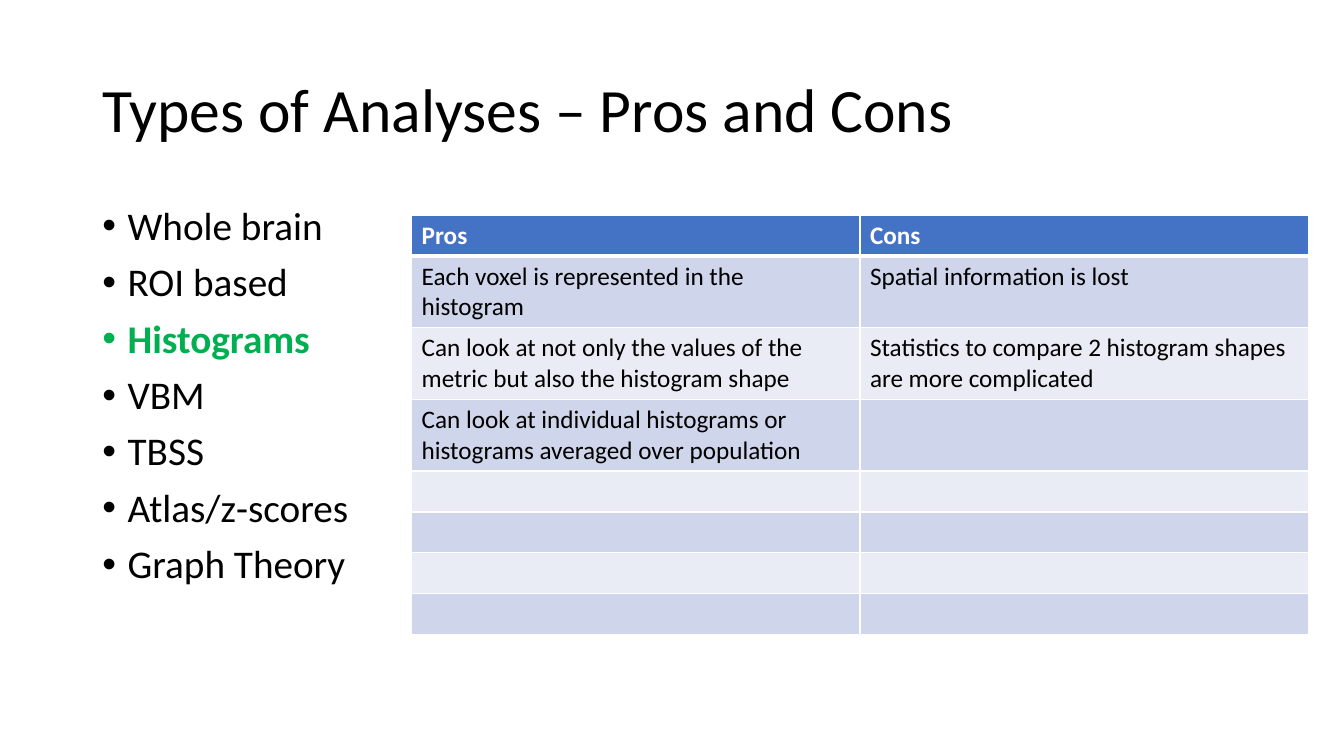
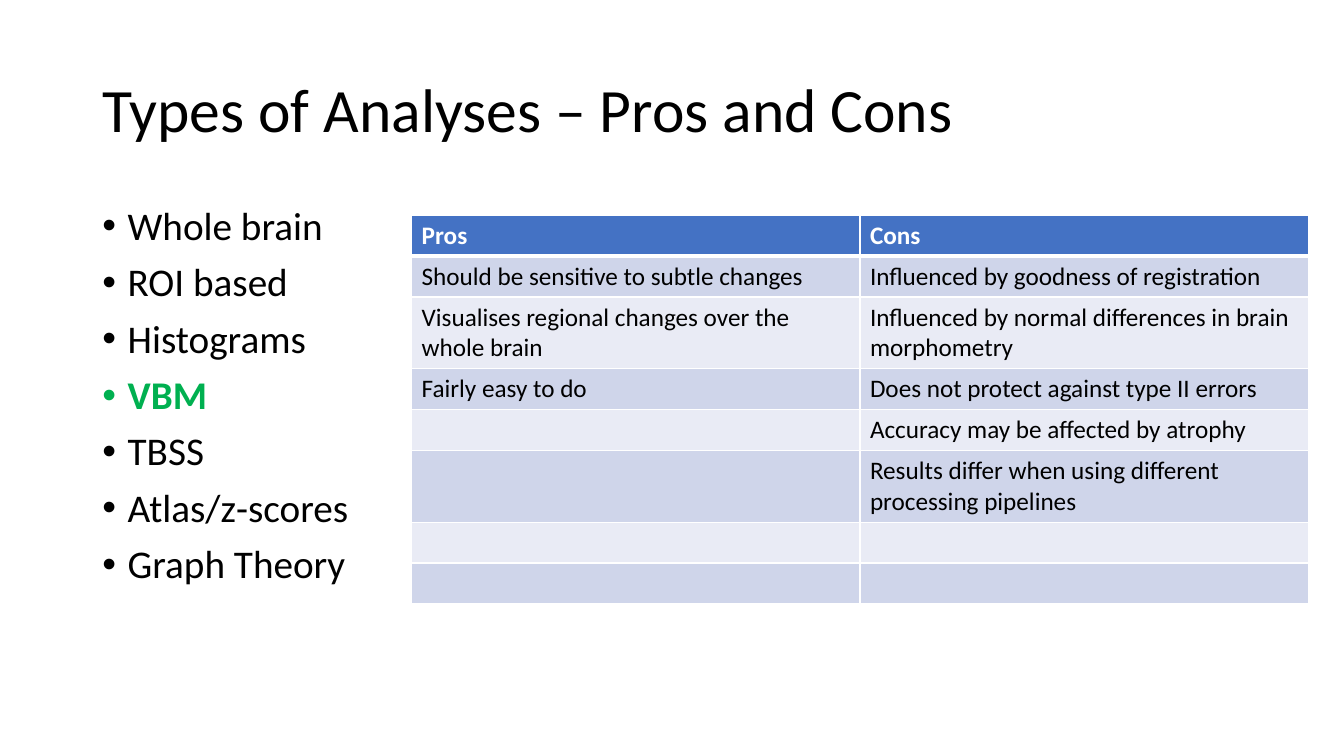
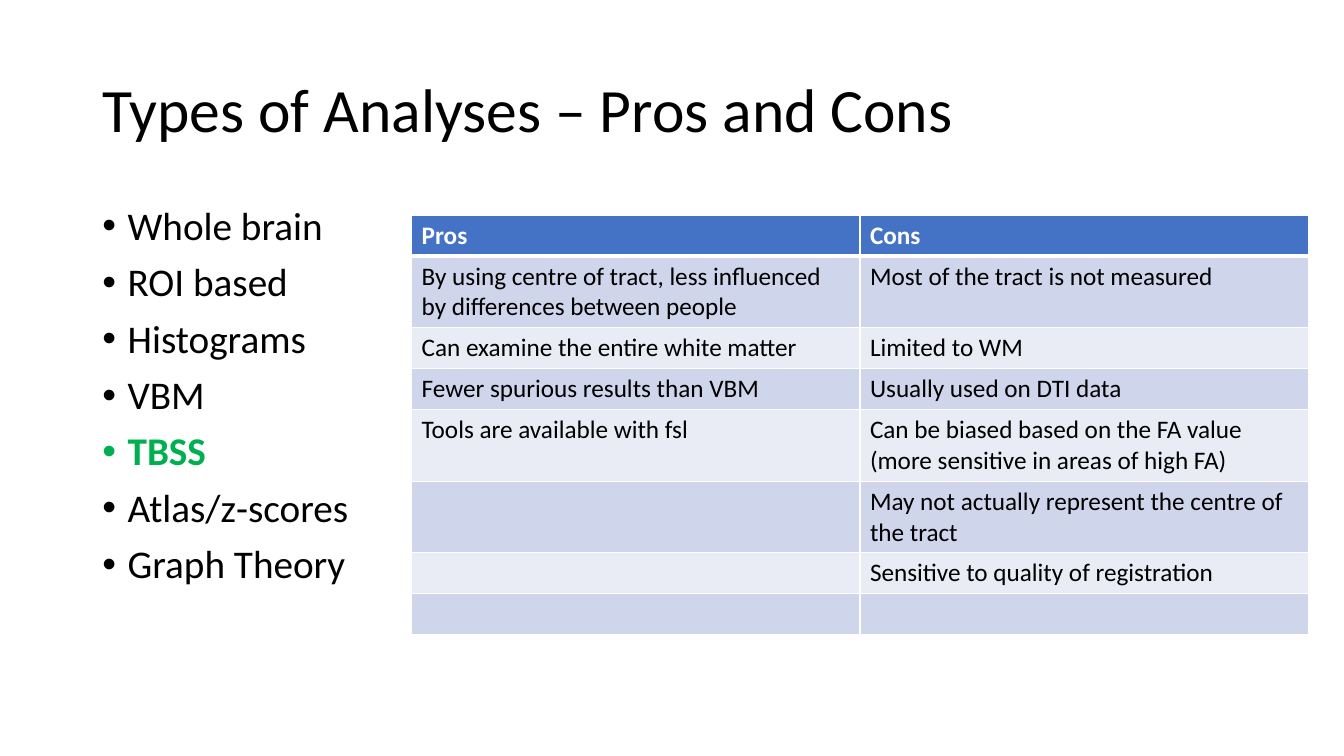
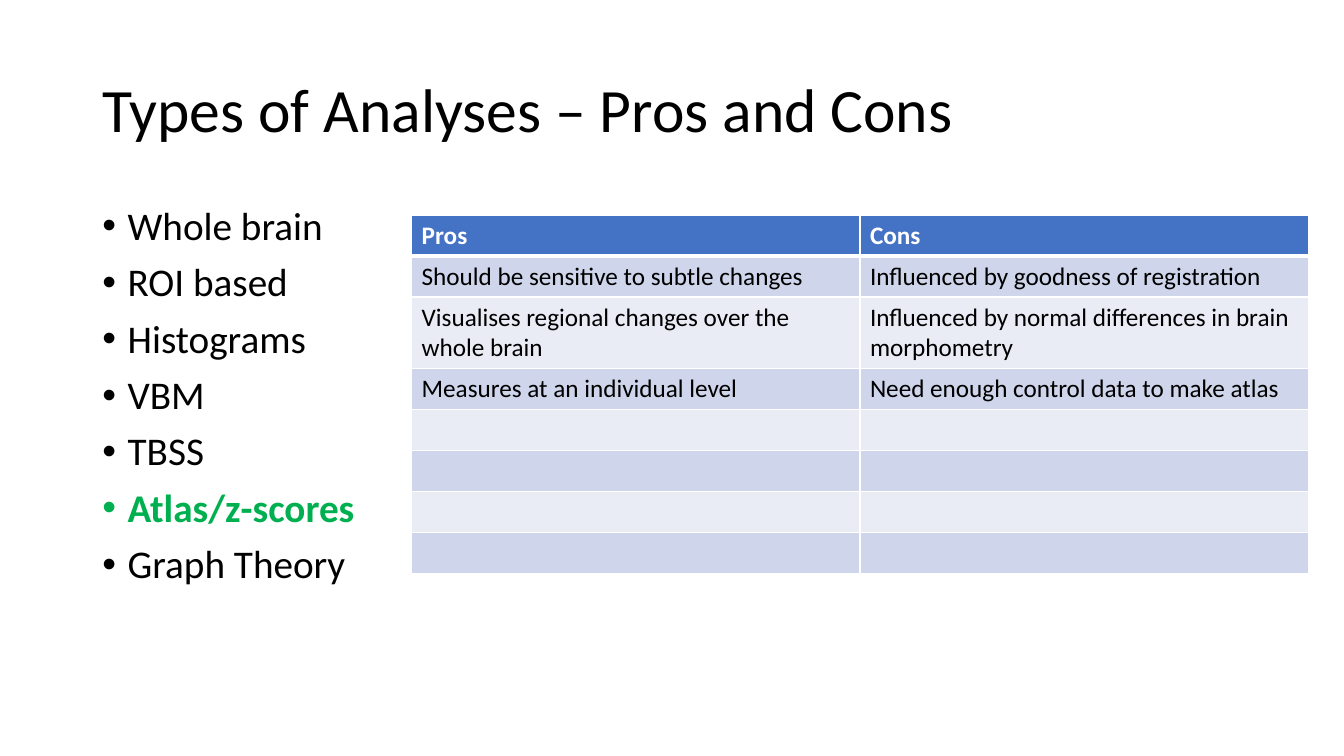
from dataclasses import dataclass

import lxml.etree
import pptx
import pptx.dml.color
import pptx.enum.text
import pptx.oxml.ns
import pptx.util

PX = 9525


@dataclass(frozen=True)
class Theme:
    font: str = "Calibri"
    ink: str = "000000"
    paper: str = "FFFFFF"
    highlight: str = "00B050"
    header: str = "4472C4"
    bands: tuple = ("CFD5EA", "E9EBF5")
    title_size: int = 44
    list_size: int = 28
    table_size: int = 18
    line_spacing: float = 0.9
    list_gap: int = 10
    rule: int = 1
    header_rule: int = 3


THEME = Theme()
SLIDE_SIZE = (1280, 720)
TITLE_BOX = (88, 38, 1104, 139)
LIST_BOX = (88, 192, 1104, 457)
LIST_INDENT = 24
TABLE_ORIGIN = (392, 205)
COLUMN_WIDTH = 427
ROW_HEIGHT = 39
ROW_COUNT = 8

TITLE = "Types of Analyses – Pros and Cons"
HEADINGS = ("Pros", "Cons")
METHODS = (
    "Whole brain",
    "ROI based",
    "Histograms",
    "VBM",
    "TBSS",
    "Atlas/z-scores",
    "Graph Theory",
)
SUBTLE_CHANGES = (
    "Should be sensitive to subtle changes",
    "Influenced by goodness of registration",
)
REGIONAL_CHANGES = (
    "Visualises regional changes over the whole brain",
    "Influenced by normal differences in brain morphometry",
)
COMPARISONS = {
    "Histograms": (
        ("Each voxel is represented in the histogram", "Spatial information is lost"),
        (
            "Can look at not only the values of the metric but also the histogram shape",
            "Statistics to compare 2 histogram shapes are more complicated",
        ),
        ("Can look at individual histograms or histograms averaged over population", ""),
    ),
    "VBM": (
        SUBTLE_CHANGES,
        REGIONAL_CHANGES,
        ("Fairly easy to do", "Does not protect against type II errors"),
        ("", "Accuracy may be affected by atrophy"),
        ("", "Results differ when using different processing pipelines"),
    ),
    "TBSS": (
        (
            "By using centre of tract, less influenced by differences between people",
            "Most of the tract is not measured",
        ),
        ("Can examine the entire white matter", "Limited to WM"),
        ("Fewer spurious results than VBM", "Usually used on DTI data"),
        (
            "Tools are available with fsl",
            "Can be biased based on the FA value (more sensitive in areas of high FA)",
        ),
        ("", "May not actually represent the centre of the tract"),
        ("", "Sensitive to quality of registration"),
    ),
    "Atlas/z-scores": (
        SUBTLE_CHANGES,
        REGIONAL_CHANGES,
        ("Measures at an individual level", "Need enough control data to make atlas"),
    ),
}


def px(length):
    return pptx.util.Emu(length * PX)


def rgb(colour):
    return pptx.dml.color.RGBColor.from_string(colour)


def style_font(font, size, colour, bold=False):
    font.name = THEME.font
    font.size = pptx.util.Pt(size)
    font.color.rgb = rgb(colour)
    font.bold = bold


def place(placeholder, box):
    placeholder.left, placeholder.top, placeholder.width, placeholder.height = map(px, box)


def prepare_layout(deck):
    layout = deck.slide_layouts[1]
    place(layout.placeholders[0], TITLE_BOX)
    place(layout.placeholders[1], LIST_BOX)
    return layout


def write_title(slide):
    frame = slide.shapes.title.text_frame
    frame.text = TITLE
    frame.auto_size = pptx.enum.text.MSO_AUTO_SIZE.NONE
    frame.vertical_anchor = pptx.enum.text.MSO_ANCHOR.MIDDLE
    heading = frame.paragraphs[0]
    heading.alignment = pptx.enum.text.PP_ALIGN.LEFT
    heading.line_spacing = THEME.line_spacing
    style_font(heading.font, THEME.title_size, THEME.ink)


def write_methods(slide, current):
    frame = slide.placeholders[1].text_frame
    frame.text = "\n".join(METHODS)
    frame.auto_size = pptx.enum.text.MSO_AUTO_SIZE.NONE
    for method, item in zip(METHODS, frame.paragraphs):
        item.line_spacing = THEME.line_spacing
        item.space_before = pptx.util.Pt(THEME.list_gap)
        indent = item._p.get_or_add_pPr()
        indent.set("marL", str(px(LIST_INDENT)))
        indent.set("indent", str(-px(LIST_INDENT)))
        style_font(item.font, THEME.list_size, THEME.ink)
        if method == current:
            style_font(item.runs[0].font, THEME.list_size, THEME.highlight, bold=True)


def add_border(cell, edge, points):
    qn = pptx.oxml.ns.qn
    border = lxml.etree.SubElement(
        cell._tc.get_or_add_tcPr(), qn(f"a:ln{edge}"), w=str(pptx.util.Pt(points))
    )
    fill = lxml.etree.SubElement(border, qn("a:solidFill"))
    lxml.etree.SubElement(fill, qn("a:srgbClr"), val=THEME.paper)


def fill_cell(cell, text, row):
    is_header = row == 0
    top = THEME.header_rule if row == 1 else THEME.rule
    bottom = THEME.header_rule if is_header else THEME.rule
    for edge, points in (("L", THEME.rule), ("R", THEME.rule), ("T", top), ("B", bottom)):
        add_border(cell, edge, points)
    cell.fill.solid()
    cell.fill.fore_color.rgb = rgb(THEME.header if is_header else THEME.bands[(row - 1) % 2])
    cell.text = text
    style_font(
        cell.text_frame.paragraphs[0].font,
        THEME.table_size,
        THEME.paper if is_header else THEME.ink,
        bold=is_header,
    )


def add_comparison(slide, arguments):
    rows = (HEADINGS, *arguments)
    rows += (("", ""),) * (ROW_COUNT - len(rows))
    size = (COLUMN_WIDTH * len(HEADINGS), ROW_HEIGHT * ROW_COUNT)
    comparison = slide.shapes.add_table(
        ROW_COUNT, len(HEADINGS), *map(px, TABLE_ORIGIN + size)
    ).table
    for row, texts in enumerate(rows):
        for column, text in enumerate(texts):
            fill_cell(comparison.cell(row, column), text, row)


def main():
    deck = pptx.Presentation()
    deck.slide_width, deck.slide_height = map(px, SLIDE_SIZE)
    layout = prepare_layout(deck)
    for method, arguments in COMPARISONS.items():
        slide = deck.slides.add_slide(layout)
        write_title(slide)
        write_methods(slide, method)
        add_comparison(slide, arguments)
    deck.save("out.pptx")


if __name__ == "__main__":
    main()
